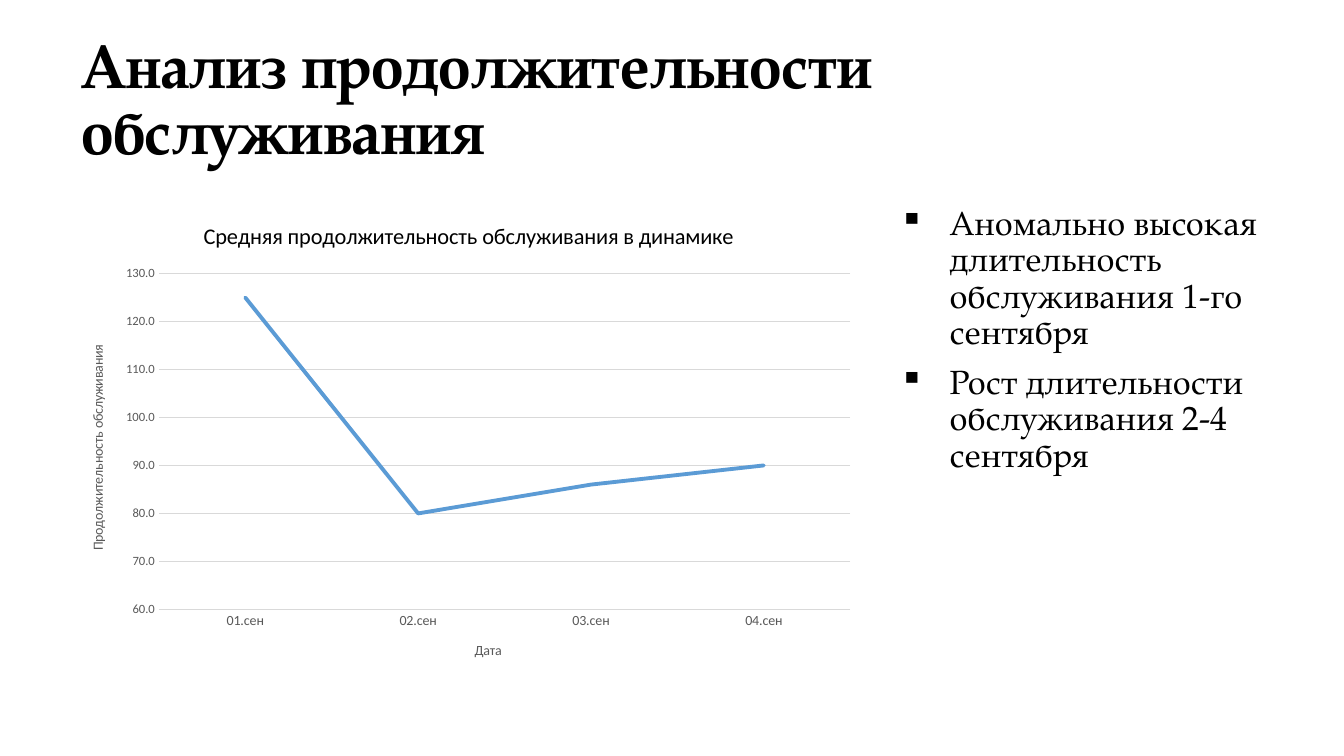
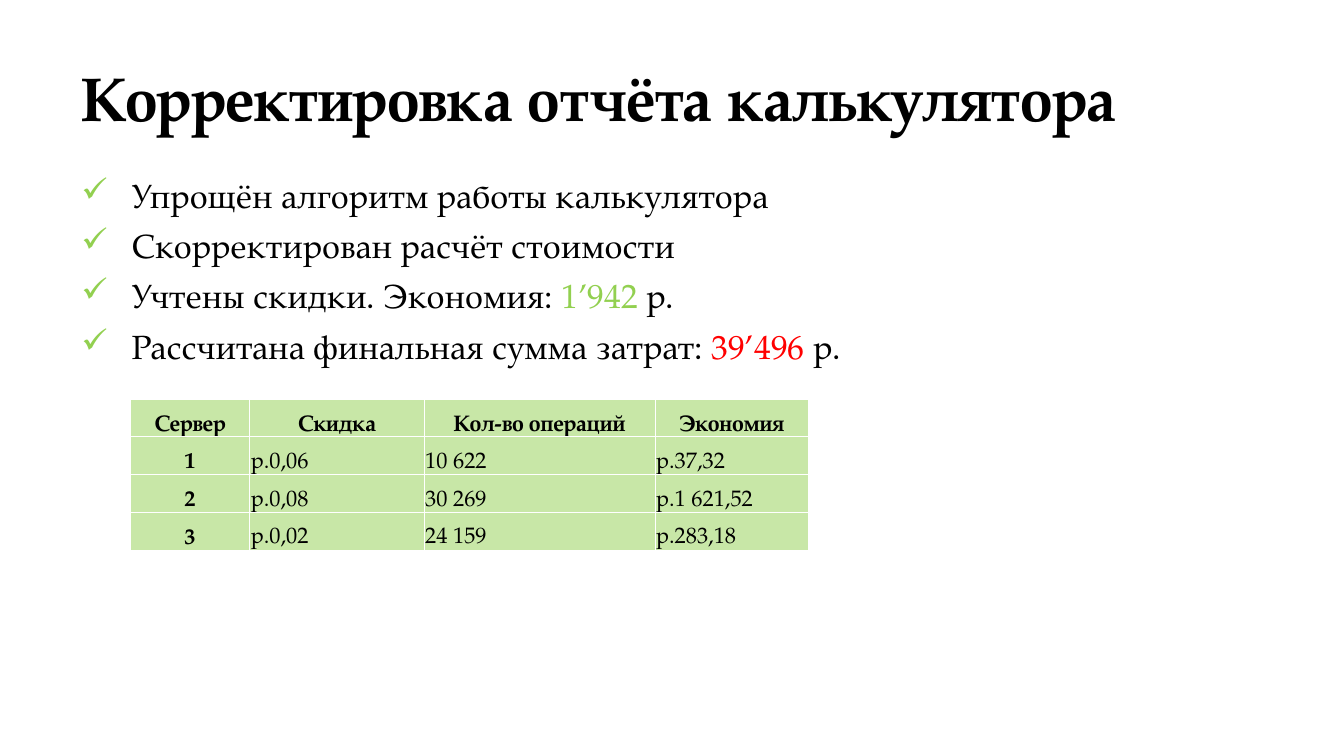
"""Build two report slides: service time chart and calculator corrections."""
import pptx
import pptx.util
import pptx.dml.color
import pptx.enum.text
import pptx.enum.chart
import pptx.chart.data
import lxml.etree
from pptx.oxml.ns import qn

PX = 9525
FACE = "TeX Gyre Pagella"
HEX = {"ink": "000000", "grey": "595959", "grid": "D9D9D9", "blue": "5B9BD5",
       "green": "92D050", "red": "FF0000", "white": "FFFFFF"}
RGB = {name: pptx.dml.color.RGBColor.from_string(code) for name, code in HEX.items()}
ALIGN = pptx.enum.text.PP_ALIGN
ANCHOR = pptx.enum.text.MSO_ANCHOR
LEFT = 68


def style(font, size, color="ink", bold=False, face=FACE):
    font.size = pptx.util.Pt(size)
    font.color.rgb = RGB[color]
    font.bold = bold
    font.name = face


def points(slide, box, mark, items, tint):
    frame = slide.shapes.add_textbox(*[n * PX for n in box]).text_frame
    frame.word_wrap = True
    for i, item in enumerate(items):
        para = frame.add_paragraph() if i else frame.paragraphs[0]
        props = para._p.get_or_add_pPr()
        props.set("marL", str(48 * PX))
        props.set("indent", str(-48 * PX))
        hue = lxml.etree.SubElement(props, qn("a:buClr"))
        lxml.etree.SubElement(hue, qn("a:srgbClr"), val=HEX[tint])
        lxml.etree.SubElement(props, qn("a:buChar"), char=mark)
        para.line_spacing = 0.9
        para.space_before = pptx.util.Pt(10 if i else 0)
        for text, color in item:
            run = para.add_run()
            run.text = text
            style(run.font, 24, color)


deck = pptx.Presentation()
deck.slide_width = 1280 * PX
deck.slide_height = 720 * PX

slides = []
for text, width in [("Анализ продолжительности обслуживания", 1104),
                    ("Корректировка отчёта калькулятора", 1173)]:
    slide = deck.slides.add_slide(deck.slide_layouts[5])
    title = slide.shapes.title
    title.left, title.top = LEFT * PX, 27 * PX
    title.width, title.height = width * PX, 139 * PX
    frame = title.text_frame
    frame.text = text
    frame.word_wrap = True
    frame.auto_size = pptx.enum.text.MSO_AUTO_SIZE.NONE
    frame.vertical_anchor = ANCHOR.MIDDLE
    para = frame.paragraphs[0]
    para.alignment = ALIGN.LEFT
    para.line_spacing = 0.9
    style(para.runs[0].font, 44, bold=True)
    slides.append(slide)
time, cost = slides

points(time, (847, 192, 395, 457), "▪", [
    [("Аномально высокая длительность обслуживания 1-го сентября", "ink")],
    [("Рост длительности обслуживания 2-4 сентября", "ink")],
], "ink")

data = pptx.chart.data.CategoryChartData(number_format="0.0")
data.categories = ["01.сен", "02.сен", "03.сен", "04.сен"]
data.add_series("Series 1", [125, 80, 86, 90])
chart = time.shapes.add_chart(pptx.enum.chart.XL_CHART_TYPE.LINE, LEFT * PX, 192 * PX,
                              757 * PX, 457 * PX, data).chart
style(chart.font, 10, face="Calibri")
chart.has_legend = False
chart.has_title = True
chart.chart_title.include_in_layout = False
days, mins = chart.category_axis, chart.value_axis
for owner, text, size, color in [
        (chart.chart_title, "Средняя продолжительность обслуживания в динамике", 16, "ink"),
        (days.axis_title, "Дата", 10, "grey"),
        (mins.axis_title, "Продолжительность обслуживания", 10, "grey")]:
    owner.text_frame.text = text
    style(owner.text_frame.paragraphs[0].runs[0].font, size, color, face="Calibri")
for axis, size in [(days, 10), (mins, 9)]:
    axis.major_tick_mark = axis.minor_tick_mark = pptx.enum.chart.XL_TICK_MARK.NONE
    style(axis.tick_labels.font, size, "grey", face="Calibri")
mins.minimum_scale, mins.maximum_scale, mins.major_unit = 60, 130, 10
mins.tick_labels.number_format = "0.0"
mins.tick_labels.number_format_is_linked = False
mins.format.line.fill.background()
for line in (days.format.line, mins.major_gridlines.format.line):
    line.color.rgb = RGB["grid"]
    line.width = pptx.util.Pt(0.75)
plot = chart.plots[0]
plot.vary_by_categories = False
curve = plot.series[0]
curve.smooth = False
curve.marker.style = pptx.enum.chart.XL_MARKER_STYLE.NONE
curve.format.line.color.rgb = RGB["blue"]
curve.format.line.width = pptx.util.Pt(2.75)
curve.format.line._ln.set("cap", "rnd")

area = chart._chartSpace.chart.plotArea
for old in area.findall(qn("c:layout")):
    area.remove(old)
outer = lxml.etree.Element(qn("c:layout"))
area.insert(0, outer)
inner = lxml.etree.SubElement(outer, qn("c:manualLayout"))
for tag, val in [("layoutTarget", "inner"), ("xMode", "edge"), ("yMode", "edge"),
                 ("x", "0.11"), ("y", "0.15"), ("w", "0.87"), ("h", "0.7")]:
    lxml.etree.SubElement(inner, qn("c:" + tag), val=val)

points(cost, (LEFT, 166, 757, 457), "✓", [
    [("Упрощён алгоритм работы калькулятора", "ink")],
    [("Скорректирован расчёт стоимости", "ink")],
    [("Учтены скидки. Экономия: ", "ink"), ("1’942", "green"), (" р.", "ink")],
    [("Рассчитана финальная сумма затрат: ", "ink"), ("39’496", "red"), (" р.", "ink")],
], "green")

rows = [["Сервер", "Скидка", "Кол-во операций", "Экономия"],
        ["1", "р.0,06", "10 622", "р.37,32"],
        ["2", "р.0,08", "30 269", "р.1 621,52"],
        ["3", "р.0,02", "24 159", "р.283,18"]]
wide = [114, 166, 220, 146]
high = 36
table = cost.shapes.add_table(len(rows), len(wide), 124 * PX, 380 * PX,
                              sum(wide) * PX, high * len(rows) * PX).table
table.horz_banding = False
for col, width in zip(table.columns, wide):
    col.width = width * PX
for r, row in enumerate(rows):
    table.rows[r].height = high * PX
    for c, text in enumerate(row):
        cell = table.cell(r, c)
        cell.margin_left = cell.margin_right = cell.margin_top = PX
        cell.margin_bottom = 0
        cell.vertical_anchor = ANCHOR.BOTTOM
        cell.text_frame.text = text
        para = cell.text_frame.paragraphs[0]
        head = r == 0 or c == 0
        para.alignment = ALIGN.CENTER if head else ALIGN.LEFT
        style(para.runs[0].font, 16, bold=head)
        cell.fill.solid()
        cell.fill.fore_color.rgb = RGB["green"]
        props = cell._tc.get_or_add_tcPr()
        tone = props.find(qn("a:solidFill")).find(qn("a:srgbClr"))
        lxml.etree.SubElement(tone, qn("a:alpha"), val="50000")
        for i, side in enumerate("LRTB"):
            edge = lxml.etree.Element(qn("a:ln" + side), w=str(pptx.util.Pt(1)))
            fill = lxml.etree.SubElement(edge, qn("a:solidFill"))
            lxml.etree.SubElement(fill, qn("a:srgbClr"), val=HEX["white"])
            props.insert(i, edge)

deck.save("out.pptx")
